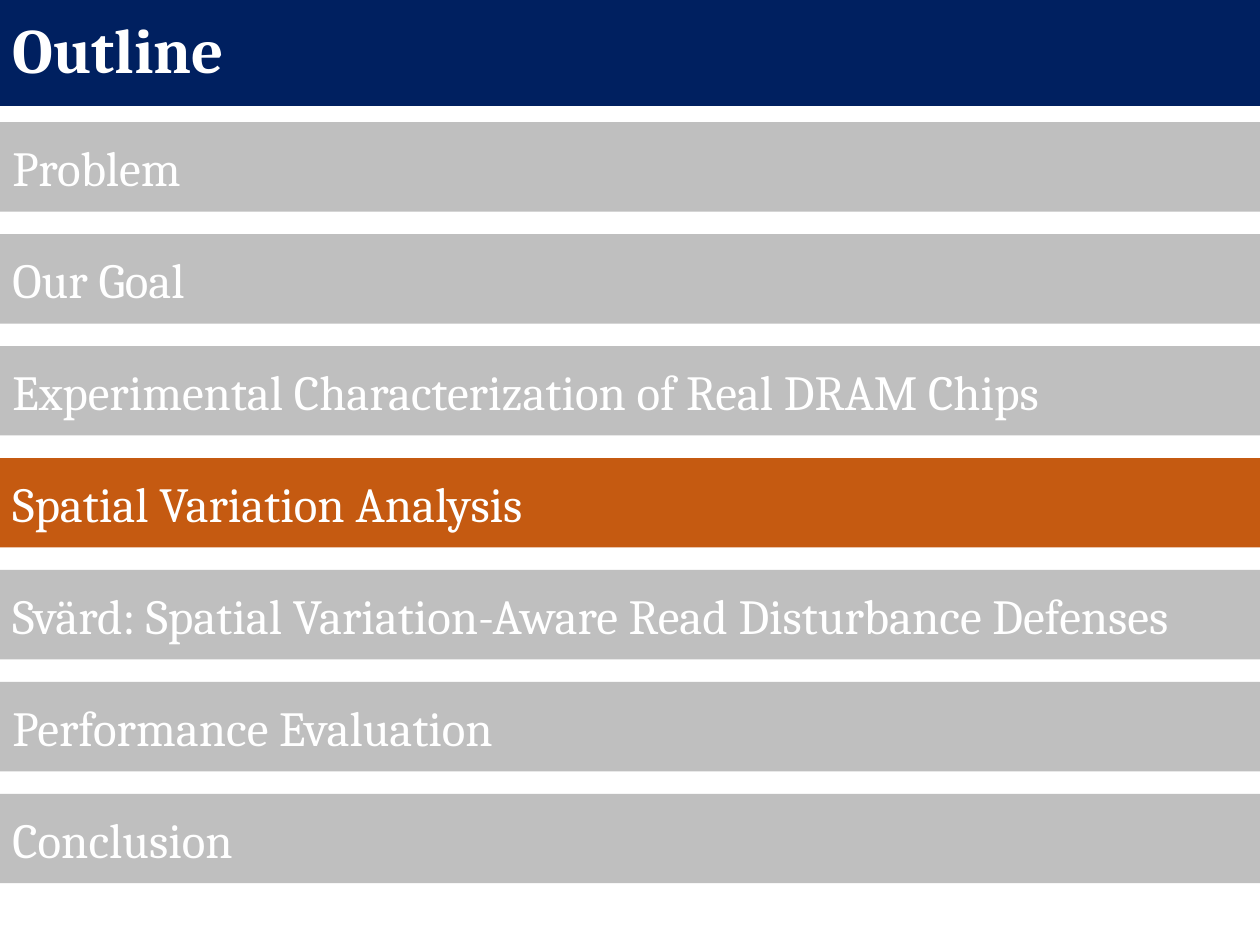
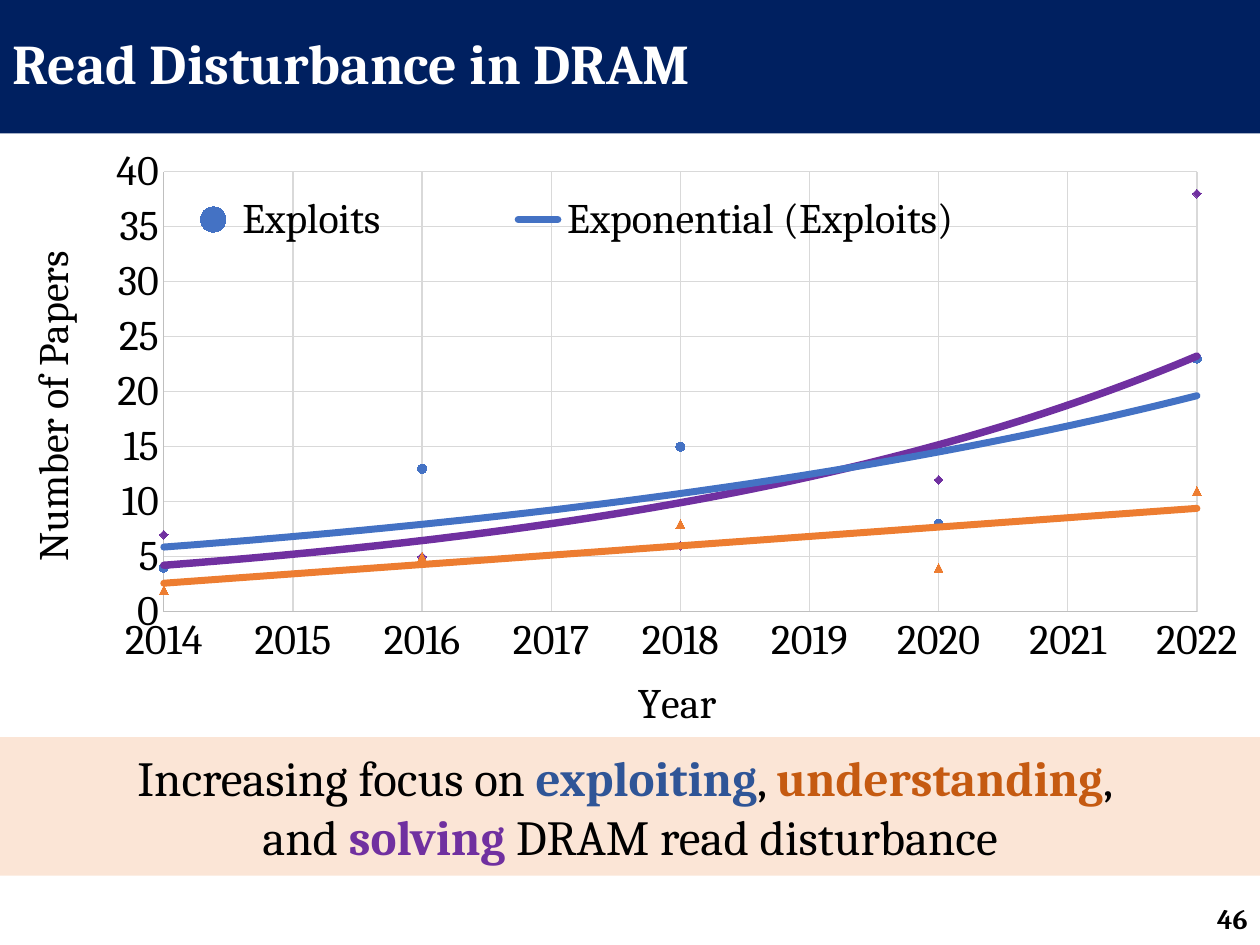
"""Build an outline slide and a chart slide on read disturbance in DRAM."""
from dataclasses import dataclass

from pptx import Presentation
from pptx.chart.data import XyChartData
from pptx.dml.color import RGBColor
from pptx.enum.chart import XL_CHART_TYPE, XL_LEGEND_POSITION, XL_MARKER_STYLE, XL_TICK_MARK
from pptx.enum.shapes import MSO_SHAPE
from pptx.enum.text import MSO_ANCHOR, MSO_AUTO_SIZE, PP_ALIGN
from pptx.oxml import parse_xml
from pptx.oxml.ns import nsdecls, qn
from pptx.util import Inches, Pt

SCATTER = XL_CHART_TYPE.XY_SCATTER
LEGEND_TOP = XL_LEGEND_POSITION.TOP
CIRCLE, TRIANGLE, DIAMOND = (
    XL_MARKER_STYLE.CIRCLE, XL_MARKER_STYLE.TRIANGLE, XL_MARKER_STYLE.DIAMOND)
NO_TICK = XL_TICK_MARK.NONE
RECTANGLE = MSO_SHAPE.RECTANGLE
MIDDLE = MSO_ANCHOR.MIDDLE
NO_AUTOFIT = MSO_AUTO_SIZE.NONE
LEFT, CENTER, RIGHT = PP_ALIGN.LEFT, PP_ALIGN.CENTER, PP_ALIGN.RIGHT
PAGE_WIDTH, PAGE_HEIGHT = 10, 7.5


@dataclass(frozen=True)
class Theme:
    font: str = "Cambria"
    white: str = "FFFFFF"
    black: str = "000000"
    navy: str = "002060"
    muted: str = "BFBFBF"
    grid: str = "D9D9D9"
    highlight: str = "C55A11"
    callout: str = "FBE5D6"
    deep_blue: str = "2F5597"
    blue: str = "4472C4"
    orange: str = "ED7D31"
    purple: str = "7030A0"
    body_size: float = 28
    chart_size: float = 24
    number_size: float = 16
    hairline: float = 0.75


THEME = Theme()


@dataclass(frozen=True)
class PaperSeries:
    name: str
    counts: tuple
    color: str
    marker: object
    trend: str
    trend_width: float


@dataclass(frozen=True)
class Span:
    text: str
    color: str = THEME.black
    bold: bool = False


TOPICS = (
    "Problem",
    "Our Goal",
    "Experimental Characterization of Real DRAM Chips",
    "Spatial Variation Analysis",
    "Svärd: Spatial Variation-Aware Read Disturbance Defenses",
    "Performance Evaluation",
    "Conclusion",
)
CURRENT_TOPIC = "Spatial Variation Analysis"
FIRST_TOPIC_TOP, LAST_TOPIC_TOP, TOPIC_HEIGHT = 0.97, 6.3, 0.71

YEARS = range(2014, 2023, 2)
PAPERS = (
    PaperSeries("Exploits", (4, 13, 15, 8, 23), THEME.blue, CIRCLE, "exp", 4),
    PaperSeries("Understanding", (2, 5, 8, 4, 11), THEME.orange, TRIANGLE, "linear", 4),
    PaperSeries("Solving", (7, 5, 6, 12, 38), THEME.purple, DIAMOND, "exp", 4.25),
)
MESSAGE = (
    (Span("Increasing focus on "), Span("exploiting", THEME.deep_blue, True), Span(", "),
     Span("understanding", THEME.highlight, True), Span(", ")),
    (Span("and "), Span("solving ", THEME.purple, True), Span("DRAM read disturbance")),
)


def rgb(color: str) -> RGBColor:
    return RGBColor.from_string(color)


def set_font(font, size: float, color: str = THEME.black, bold: bool = False) -> None:
    font.name = THEME.font
    font.size = Pt(size)
    font.bold = bold
    font.color.rgb = rgb(color)


def fill_solid(shape, color: str) -> None:
    shape.fill.solid()
    shape.fill.fore_color.rgb = rgb(color)


def add_page(deck, title: str, height: float, size: float):
    page = deck.slides.add_slide(deck.slide_layouts[5])
    box = page.shapes.title
    box.left, box.top = Inches(0), Inches(0)
    box.width, box.height = Inches(PAGE_WIDTH), Inches(height)
    fill_solid(box, THEME.navy)
    frame = box.text_frame
    frame.text = title
    frame.vertical_anchor = MIDDLE
    frame.auto_size = NO_AUTOFIT
    para = frame.paragraphs[0]
    para.alignment = LEFT
    para.line_spacing = 0.9
    set_font(para.font, size, THEME.white, True)
    return page


def add_band(page, top: float, height: float, color: str, alignment):
    """Add a full-width band and return its first paragraph."""
    band = page.shapes.add_shape(
        RECTANGLE, Inches(0), Inches(top), Inches(PAGE_WIDTH), Inches(height))
    band.shadow.inherit = False
    fill_solid(band, color)
    band.line.fill.background()
    band.text_frame.word_wrap = True
    band.text_frame.vertical_anchor = MIDDLE
    para = band.text_frame.paragraphs[0]
    para.alignment = alignment
    return para


def manual_layout(x: float, y: float, width: float, height: float, inner: bool = False):
    target = '<c:layoutTarget val="inner"/>' if inner else ""
    return parse_xml(
        f'<c:layout {nsdecls("c")}><c:manualLayout>{target}'
        '<c:xMode val="edge"/><c:yMode val="edge"/>'
        f'<c:x val="{x}"/><c:y val="{y}"/><c:w val="{width}"/><c:h val="{height}"/>'
        '</c:manualLayout></c:layout>')


def add_trend(series, papers: PaperSeries) -> None:
    trend = parse_xml(
        f'<c:trendline {nsdecls("c", "a")}><c:spPr>'
        f'<a:ln w="{Pt(papers.trend_width)}" cap="rnd"><a:solidFill>'
        f'<a:srgbClr val="{papers.color}"/></a:solidFill><a:prstDash val="solid"/></a:ln>'
        f'</c:spPr><c:trendlineType val="{papers.trend}"/>'
        '<c:dispRSqr val="0"/><c:dispEq val="0"/></c:trendline>')
    series._element.find(qn("c:xVal")).addprevious(trend)


def style_axis(axis, title: str, low: float, high: float, step: float) -> None:
    axis.minimum_scale, axis.maximum_scale, axis.major_unit = low, high, step
    axis.major_tick_mark = axis.minor_tick_mark = NO_TICK
    axis.has_major_gridlines = True
    for line, color in ((axis.format.line, THEME.muted),
                        (axis.major_gridlines.format.line, THEME.grid)):
        line.color.rgb = rgb(color)
        line.width = Pt(THEME.hairline)
    set_font(axis.tick_labels.font, THEME.chart_size)
    axis.tick_labels.number_format = "General"
    axis.tick_labels.number_format_is_linked = False
    axis.has_title = True
    frame = axis.axis_title.text_frame
    frame.text = title
    set_font(frame.paragraphs[0].font, THEME.chart_size)


def style_series(series, papers: PaperSeries) -> None:
    series.format.line.fill.background()
    marker = series.marker
    marker.style = papers.marker
    marker.size = 5
    fill_solid(marker.format, papers.color)
    marker.format.line.color.rgb = rgb(papers.color)
    add_trend(series, papers)


def style_legend(chart) -> None:
    """Place the legend inside the plot and hide the trend line entries."""
    chart.has_legend = True
    legend = chart.legend
    legend.position = LEGEND_TOP
    legend.include_in_layout = False
    set_font(legend.font, THEME.chart_size)
    element = legend._element
    for layout in element.findall(qn("c:layout")):
        element.remove(layout)
    overlay = element.find(qn("c:overlay"))
    for index in range(len(PAPERS), 2 * len(PAPERS)):
        overlay.addprevious(parse_xml(
            f'<c:legendEntry {nsdecls("c")}><c:idx val="{index}"/>'
            '<c:delete val="1"/></c:legendEntry>'))
    overlay.addprevious(manual_layout(0.14, 0.07, 0.65, 0.11))


def add_paper_chart(page) -> None:
    data = XyChartData()
    for papers in PAPERS:
        points = data.add_series(papers.name)
        for year, count in zip(YEARS, papers.counts):
            points.add_data_point(year, count)
    chart = page.shapes.add_chart(
        SCATTER, Inches(0), Inches(1.15), Inches(PAGE_WIDTH), Inches(4.74), data).chart
    chart.has_title = False
    set_font(chart.font, THEME.chart_size)
    plot = chart.plots[0]
    plot.vary_by_categories = False
    for series, papers in zip(plot.series, PAPERS):
        style_series(series, papers)
    style_axis(chart.category_axis, "Year", YEARS[0], YEARS[-1], 1)
    style_axis(chart.value_axis, "Number of Papers", 0, 40, 5)
    style_legend(chart)
    area = chart._chartSpace.chart.plotArea
    for layout in area.findall(qn("c:layout")):
        area.remove(layout)
    area.insert(0, manual_layout(0.13, 0.045, 0.82, 0.737, True))


def add_message(page) -> None:
    para = add_band(page, 5.85, 1.1, THEME.callout, CENTER)
    set_font(para.font, THEME.body_size)
    for number, line in enumerate(MESSAGE):
        if number:
            para.add_line_break()
        for span in line:
            run = para.add_run()
            run.text = span.text
            run.font.bold = span.bold
            run.font.color.rgb = rgb(span.color)


def add_page_number(page, number: str) -> None:
    box = page.shapes.add_textbox(Inches(7.75), Inches(7.09), Inches(2.25), Inches(0.4))
    frame = box.text_frame
    frame.word_wrap = True
    frame.vertical_anchor = MIDDLE
    frame.text = number
    para = frame.paragraphs[0]
    para.alignment = RIGHT
    set_font(para.font, THEME.number_size, bold=True)


def build_outline(deck) -> None:
    page = add_page(deck, "Outline", 0.84, 36)
    pitch = (LAST_TOPIC_TOP - FIRST_TOPIC_TOP) / (len(TOPICS) - 1)
    for row, topic in enumerate(TOPICS):
        color = THEME.highlight if topic == CURRENT_TOPIC else THEME.muted
        para = add_band(page, FIRST_TOPIC_TOP + row * pitch, TOPIC_HEIGHT, color, LEFT)
        para.text = topic
        set_font(para.font, THEME.body_size, THEME.white)


def build_trends(deck) -> None:
    page = add_page(deck, "Read Disturbance in DRAM", 1.06, 32)
    add_paper_chart(page)
    add_message(page)
    add_page_number(page, "46")


def main() -> None:
    deck = Presentation()
    deck.slide_width, deck.slide_height = Inches(PAGE_WIDTH), Inches(PAGE_HEIGHT)
    build_outline(deck)
    build_trends(deck)
    deck.save("out.pptx")


if __name__ == "__main__":
    main()
